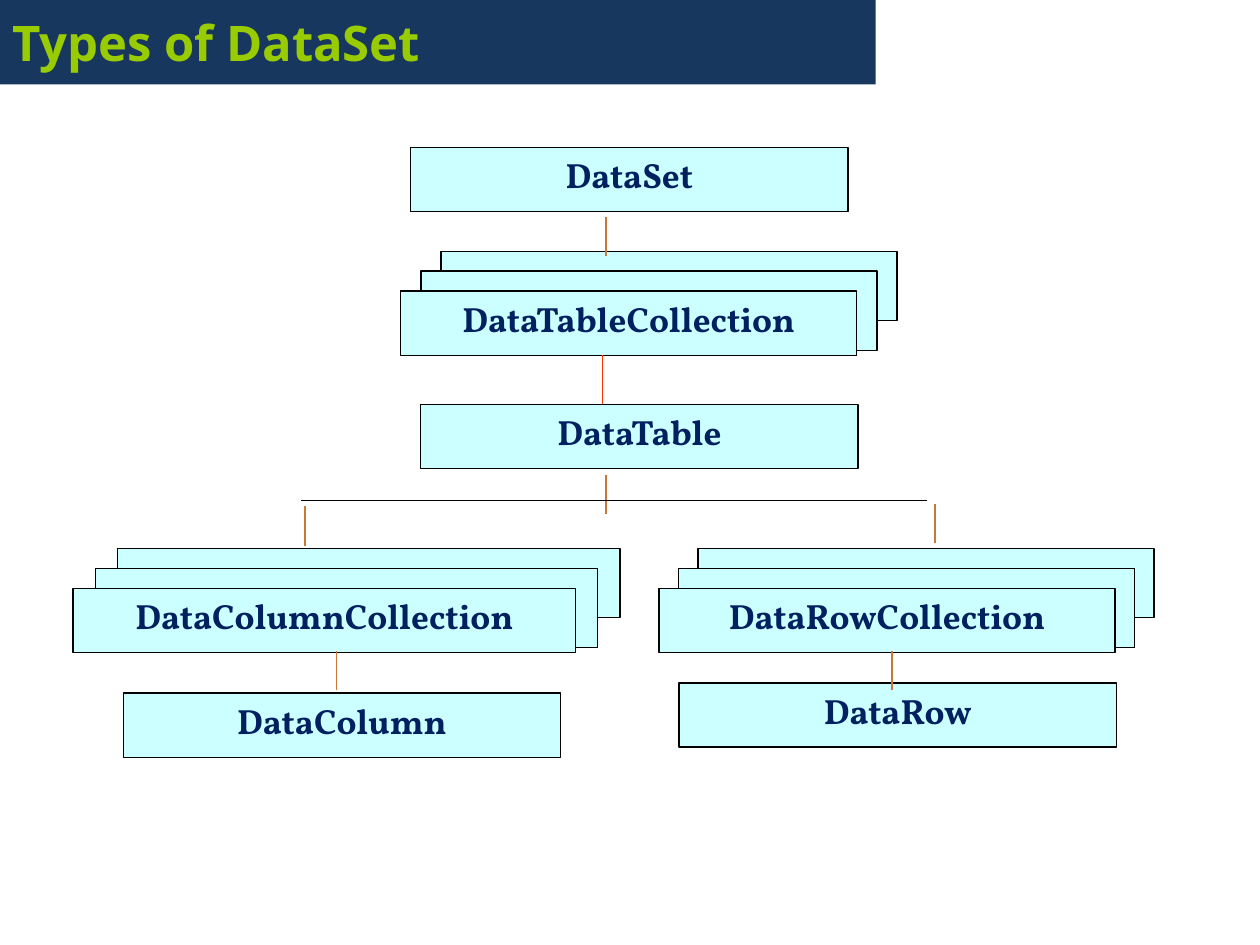
from dataclasses import dataclass

from lxml import etree
from pptx import Presentation
from pptx import util as u
from pptx.dml.color import RGBColor
from pptx.enum import shapes, text
from pptx.oxml.ns import qn


@dataclass(frozen=True)
class Theme:
    banner: str = "17375E"
    title: str = "99CC00"
    box: str = "CCFFFF"
    label: str = "002060"
    outline: str = "000000"
    link: str = "C97937"
    accent: str = "FF3300"
    title_font: str = "Open Sans"
    label_font: str = "Vollkorn"
    title_size: int = 28
    label_size: int = 20
    line_width: float = 0.75


THEME = Theme()
WIDTH, HEIGHT = u.Inches(10), u.Inches(7.5)
COLUMNS, ROWS = 100, 75  # every position below is in these grid units

TITLE = "Types of DataSet"
BANNER = (0, 0, 69.5, 6.7)
BOX_W, BOX_H, STACK_W = 34.7, 5.1, 36.2

# label, column, row
SINGLES = [
    ("DataSet", 32.6, 11.7),
    ("DataTable", 33.4, 32.1),
    ("DataColumn", 9.8, 55),
    ("DataRow", 53.9, 54.2),
]
# label, column and row of the front box, width, column step to each box behind
STACKS = [
    ("DataTableCollection", 31.8, 23.1, STACK_W, 1.6),
    ("DataColumnCollection", 5.8, 46.7, 39.9, 1.75),
    ("DataRowCollection", 52.3, 46.7, STACK_W, 1.55),
]
STACK_ROW_STEP = 1.58
STACK_HEIGHTS = [(2, 5.5), (1, 6.3)]  # steps behind the front box, height

LINK_H = 3.1
# column, row, width, height, colour
LINES = [
    (48.1, 17.2, 0, LINK_H, THEME.link),
    (47.8, 28.2, 0, 3.9, THEME.accent),
    (48.1, 37.7, 0, LINK_H, THEME.link),
    (23.9, 39.7, 49.7, 0, THEME.outline),
    (26.7, 51.7, 0, LINK_H, THEME.link),
    (70.8, 51.7, 0, LINK_H, THEME.link),
    (24.2, 40.2, 0, LINK_H, THEME.link),
    (74.2, 40, 0, LINK_H, THEME.link),
]


def cell_x(columns):
    return round(WIDTH * columns / COLUMNS)


def cell_y(rows):
    return round(HEIGHT * rows / ROWS)


def add_rect(parent, x, y, w, h, fill, outline=None):
    sp = parent.add_shape(shapes.MSO_SHAPE.RECTANGLE,
                          cell_x(x), cell_y(y), cell_x(w), cell_y(h))
    sp.shadow.inherit = False
    sp.fill.solid()
    sp.fill.fore_color.rgb = RGBColor.from_string(fill)
    if outline:
        sp.line.color.rgb = RGBColor.from_string(outline)
        sp.line.width = u.Pt(THEME.line_width)
    else:
        sp.line.fill.background()
    return sp


def write(sp, words, font, size, color, align, anchor):
    tf = sp.text_frame
    tf.word_wrap = True
    tf.vertical_anchor = anchor
    p = tf.paragraphs[0]
    p.alignment = align
    r = p.add_run()
    r.text = words
    r.font.name = font
    r.font.size = u.Pt(size)
    r.font.bold = True
    r.font.color.rgb = RGBColor.from_string(color)


def add_box(parent, x, y, w, h, label=None):
    sp = add_rect(parent, x, y, w, h, THEME.box, THEME.outline)
    if label:
        write(sp, label, THEME.label_font, THEME.label_size, THEME.label,
              text.PP_ALIGN.CENTER, text.MSO_ANCHOR.TOP)


def add_stack(s, label, x, y, w, step):
    """Group a labelled box with two empty ones stepping up behind it."""
    group = s.shapes.add_group_shape().shapes
    for depth, h in STACK_HEIGHTS:
        add_box(group, x + depth * step, y - depth * STACK_ROW_STEP, w, h)
    add_box(group, x, y, w, BOX_H, label)


def add_line(s, x, y, w, h, color):
    line = s.shapes.add_connector(shapes.MSO_CONNECTOR.STRAIGHT, cell_x(x),
                                  cell_y(y), cell_x(x + w), cell_y(y + h))
    line.line.color.rgb = RGBColor.from_string(color)
    line.line.width = u.Pt(THEME.line_width)
    etree.SubElement(line._element.spPr, qn("a:effectLst"))


def main():
    prs = Presentation()
    prs.slide_width, prs.slide_height = WIDTH, HEIGHT
    s = prs.slides.add_slide(prs.slide_layouts[6])

    banner = add_rect(s.shapes, *BANNER, THEME.banner)
    write(banner, TITLE, THEME.title_font, THEME.title_size, THEME.title,
          text.PP_ALIGN.LEFT, text.MSO_ANCHOR.MIDDLE)
    for label, x, y in SINGLES:
        add_box(s.shapes, x, y, BOX_W, BOX_H, label)
    for stack in STACKS:
        add_stack(s, *stack)
    for line in LINES:
        add_line(s, *line)

    prs.save("out.pptx")


if __name__ == "__main__":
    main()
